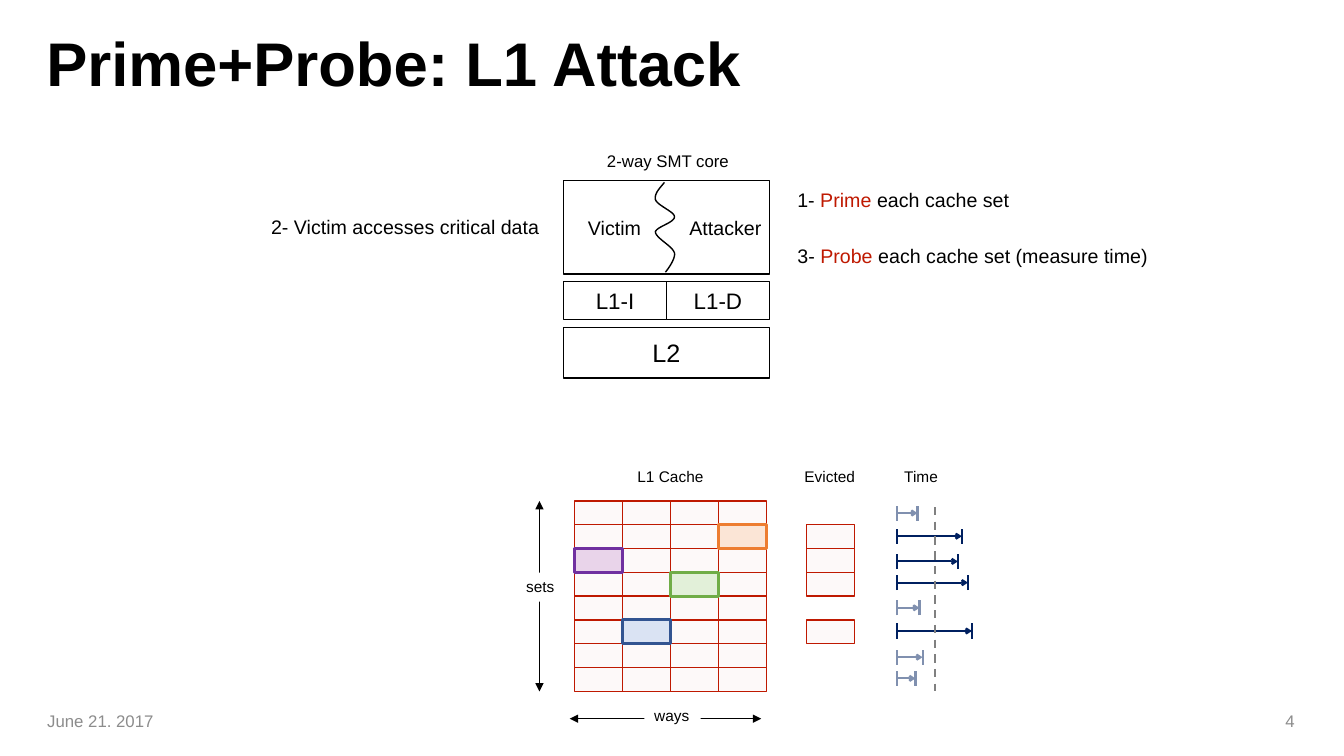
from lxml import etree
from pptx import Presentation
from pptx.dml.color import RGBColor
from pptx.enum.dml import MSO_LINE
from pptx.enum.shapes import MSO_CONNECTOR, MSO_SHAPE
from pptx.enum.text import MSO_ANCHOR, PP_ALIGN
from pptx.oxml.ns import qn
from pptx.util import Inches, Pt

LEFT, CENTER, RIGHT = PP_ALIGN.LEFT, PP_ALIGN.CENTER, PP_ALIGN.RIGHT
TOP, MIDDLE = MSO_ANCHOR.TOP, MSO_ANCHOR.MIDDLE
STRAIGHT, RECTANGLE, DASH = MSO_CONNECTOR.STRAIGHT, MSO_SHAPE.RECTANGLE, MSO_LINE.DASH

BLACK = RGBColor(0x00, 0x00, 0x00)
WHITE = RGBColor(0xFF, 0xFF, 0xFF)
RED = RGBColor(0xBF, 0x19, 0x01)
PALE_RED = RGBColor(0xFD, 0xF9, 0xF9)
NAVY = RGBColor(0x00, 0x20, 0x60)
PALE_NAVY = RGBColor(0x80, 0x90, 0xAF)
GRAY = RGBColor(0x80, 0x80, 0x80)
FOOTER_GRAY = RGBColor(0x8C, 0x8C, 0x8C)
FONT = "Arial"

# Content
TITLE = "Prime+Probe: L1 Attack"
# text, left, top, width, height, size
CORE_BOXES = [
    ("L2", 5.59, 3.25, 2.04, 0.5, 18),
    ("L1-I", 5.59, 2.79, 1.02, 0.38, 16),
    ("L1-D", 6.61, 2.79, 1.02, 0.38, 16),
    ("", 5.59, 1.79, 2.04, 0.93, 14),
]
# spans (text, colour), left, top, width, height, size, alignment, anchor, wrap
LABELS = [
    ([("Attacker", BLACK)], 6.62, 2.07, 1.15, 0.37, 14, CENTER, MIDDLE, True),
    ([("Victim", BLACK)], 5.52, 2.07, 1.15, 0.37, 14, CENTER, MIDDLE, True),
    ([("2-way SMT core", BLACK)], 5.9, 1.45, 1.45, 0.3, 12, CENTER, TOP, False),
    ([("1-", BLACK), (" Prime", RED), (" each cache set", BLACK)],
     7.81, 1.8, 2.46, 0.37, 14, LEFT, MIDDLE, True),
    ([("2- Victim accesses critical data", BLACK)],
     2.59, 2.06, 2.92, 0.37, 14, LEFT, MIDDLE, True),
    ([("3-", BLACK), (" Probe ", RED), ("each cache set (measure time)", BLACK)],
     7.81, 2.35, 3.69, 0.37, 14, LEFT, MIDDLE, True),
    ([("L1 Cache", BLACK)], 6.22, 4.58, 0.86, 0.29, 11, CENTER, TOP, False),
    ([("Evicted", BLACK)], 7.88, 4.58, 0.71, 0.29, 11, LEFT, TOP, False),
    ([("Time", BLACK)], 8.87, 4.58, 0.54, 0.29, 11, LEFT, TOP, False),
    ([("June 21. 2017", FOOTER_GRAY)], 0.37, 6.95, 3, 0.4, 12, LEFT, MIDDLE, True),
    ([("4", FOOTER_GRAY)], 9.94, 6.95, 3, 0.4, 12, RIGHT, MIDDLE, True),
]
# text, left, top, width, height, arrow start, arrow end
AXES = [
    ("ways", 6.39, 6.96, 0.56, 0.29, (5.65, 7.13), (7.55, 7.13)),
    ("sets", 5.12, 5.68, 0.5, 0.29, (5.35, 4.97), (5.35, 6.86)),
]
DIVIDER_START = (6.59, 1.81)
DIVIDER_CURVES = [
    ((6.54, 1.87), (6.49, 1.92), (6.5, 1.98)),
    ((6.52, 2.04), (6.69, 2.1), (6.69, 2.15)),
    ((6.69, 2.21), (6.51, 2.25), (6.5, 2.3)),
    ((6.5, 2.36), (6.67, 2.44), (6.69, 2.51)),
    ((6.7, 2.58), (6.6, 2.7), (6.6, 2.7)),
]
SETS, WAYS = 8, 4
EVICTED_SETS = [1, 2, 3, 5]
# (set, way): (fill, line)
VICTIM_LINES = {
    (3, 2): (RGBColor(0xE2, 0xF0, 0xD9), RGBColor(0x70, 0xAD, 0x47)),
    (5, 1): (RGBColor(0xDA, 0xE3, 0xF3), RGBColor(0x32, 0x54, 0x91)),
    (1, 3): (RGBColor(0xFB, 0xE5, 0xD6), RGBColor(0xED, 0x7D, 0x31)),
    (2, 0): (RGBColor(0xE9, 0xD4, 0xEA), RGBColor(0x70, 0x30, 0xA0)),
}
# middle height, right end
PROBE_TIMES = [(5.09, 9.1), (5.32, 9.54), (5.57, 9.5), (5.78, 9.6),
               (6.03, 9.12), (6.26, 9.64), (6.52, 9.15), (6.73, 9.08)]

# Layout
GRID_LEFT, GRID_TOP = 5.7, 4.97
CELL_WIDTH, CELL_HEIGHT = 0.475, 0.236
EVICTED_LEFT = 8.0
TIME_LEFT, THRESHOLD, TICK = 8.9, 9.27, 0.075


def write(frame, spans, size, align, anchor, wrap):
    frame.word_wrap = wrap
    frame.vertical_anchor = anchor
    para = frame.paragraphs[0]
    para.alignment = align
    para.font.size = Pt(size)
    para.font.name = FONT
    for text, color in spans:
        span = para.add_run()
        span.text = text
        span.font.color.rgb = color


def add_box(page, left, top, width, height, fill, line=None, weight=1):
    box = page.shapes.add_shape(RECTANGLE, Inches(left), Inches(top),
                                Inches(width), Inches(height))
    box.shadow.inherit = False
    box.fill.solid()
    box.fill.fore_color.rgb = fill
    if line is None:
        box.line.fill.background()
    else:
        box.line.color.rgb = line
        box.line.width = Pt(weight)
    return box


def add_cell(page, left, cache_set, fill=PALE_RED, line=RED, weight=1):
    add_box(page, left, GRID_TOP + cache_set * CELL_HEIGHT,
            CELL_WIDTH, CELL_HEIGHT, fill, line, weight)


def add_line(page, start, end, color, weight, head=None, tail=None, size="med"):
    line = page.shapes.add_connector(STRAIGHT, *map(Inches, start + end))
    line.line.color.rgb = color
    line.line.width = Pt(weight)
    outline = line.line._get_or_add_ln()
    for tag, kind in (("a:headEnd", head), ("a:tailEnd", tail)):
        if kind:
            etree.SubElement(outline, qn(tag), type=kind, w=size, len=size)
    etree.SubElement(line._element.spPr, qn("a:effectLst"))
    return line


def curve_points(start, curves, steps=12):
    points = []
    for first, second, end in curves:
        for step in range(1, steps + 1):
            t = step / steps
            u = 1 - t
            points.append(tuple(
                Inches(u**3 * a + 3 * u * u * t * b + 3 * u * t * t * c + t**3 * d)
                for a, b, c, d in zip(start, first, second, end)))
        start = end
    return points


def main():
    deck = Presentation()
    deck.slide_width, deck.slide_height = Inches(13.33), Inches(7.5)
    page = deck.slides.add_slide(deck.slide_layouts[5])

    # Title
    title = page.shapes.title
    title.left, title.top = Inches(0.36), Inches(0.27)
    title.width, title.height = Inches(12.58), Inches(0.79)
    write(title.text_frame, [(TITLE, BLACK)], 44, LEFT, MIDDLE, True)
    title.text_frame.paragraphs[0].font.bold = True
    title.text_frame.paragraphs[0].line_spacing = 0.9

    # Processor core and its caches
    for text, left, top, width, height, size in CORE_BOXES:
        box = add_box(page, left, top, width, height, WHITE, BLACK)
        if text:
            write(box.text_frame, [(text, BLACK)], size, CENTER, MIDDLE, True)

    # Wavy divider between victim and attacker
    builder = page.shapes.build_freeform(*map(Inches, DIVIDER_START))
    builder.add_line_segments(curve_points(DIVIDER_START, DIVIDER_CURVES), close=False)
    divider = builder.convert_to_shape()
    divider.shadow.inherit = False
    divider.fill.background()
    divider.line.color.rgb = BLACK
    divider.line.width = Pt(1)

    # Cache dimensions
    for text, left, top, width, height, start, end in AXES:
        add_line(page, start, end, BLACK, 1, "triangle", "triangle")
        box = add_box(page, left, top, width, height, WHITE)
        write(box.text_frame, [(text, BLACK)], 11, LEFT, TOP, False)

    # Cache grid, evicted sets and victim lines
    for cache_set in range(SETS):
        for way in range(WAYS):
            if (cache_set, way) not in VICTIM_LINES:
                add_cell(page, GRID_LEFT + way * CELL_WIDTH, cache_set)
    for cache_set in EVICTED_SETS:
        add_cell(page, EVICTED_LEFT, cache_set)
    for (cache_set, way), (fill, line) in VICTIM_LINES.items():
        add_cell(page, GRID_LEFT + way * CELL_WIDTH, cache_set, fill, line, 2.25)

    # Probe times, dark when past the threshold
    for middle, right in PROBE_TIMES:
        color = NAVY if right > THRESHOLD else PALE_NAVY
        add_line(page, (TIME_LEFT, middle), (right, middle), color, 1.5,
                 tail="arrow", size="sm")
        for x in (TIME_LEFT, right):
            add_line(page, (x, middle + TICK), (x, middle - TICK), color, 1.5)
    threshold = add_line(page, (THRESHOLD, 5.03), (THRESHOLD, 6.86), GRAY, 1.5)
    threshold.line.dash_style = DASH

    # Labels and footer
    for spans, left, top, width, height, size, align, anchor, wrap in LABELS:
        box = page.shapes.add_textbox(Inches(left), Inches(top),
                                      Inches(width), Inches(height))
        write(box.text_frame, spans, size, align, anchor, wrap)

    deck.save("out.pptx")


if __name__ == "__main__":
    main()
